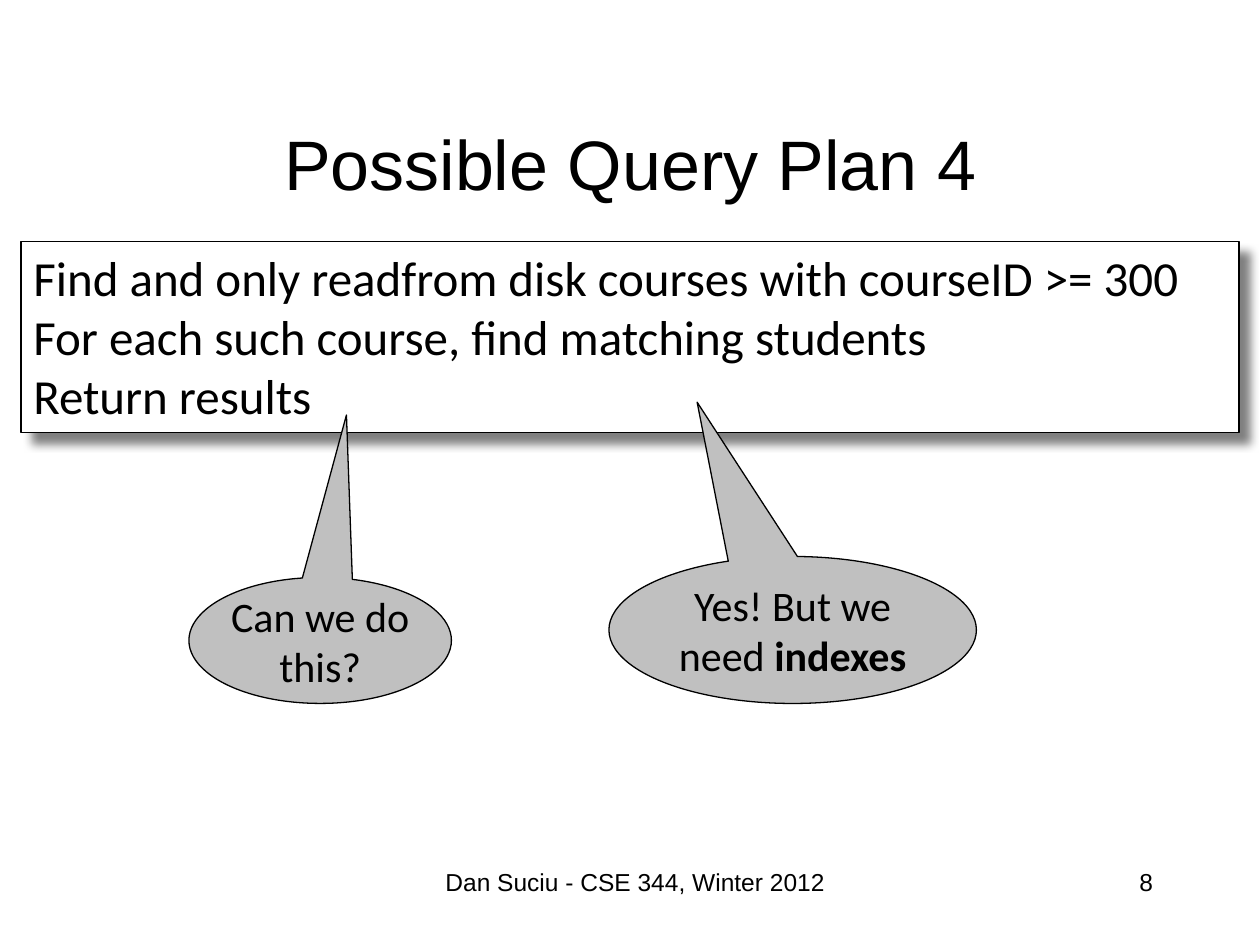
"""Build the slide on the fourth possible query plan."""
import pptx
import pptx.dml.color
import pptx.enum.shapes
import pptx.enum.text
import pptx.oxml
import pptx.oxml.ns
import pptx.util

Pt = pptx.util.Pt
SHAPE = pptx.enum.shapes.MSO_SHAPE
ALIGN = pptx.enum.text.PP_ALIGN
ANCHOR = pptx.enum.text.MSO_ANCHOR

PLAN_STEPS = [
    "Find and only readfrom disk courses with courseID >= 300",
    "For each such course, find matching students",
    "Return results",
]


def color(hex_code):
    """Return the colour for a hex string."""
    return pptx.dml.color.RGBColor.from_string(hex_code)


def write(frame, paragraphs, font, size, align, anchor=ANCHOR.TOP):
    """Fill a text frame from lists of (text, bold) runs."""
    frame.word_wrap = True
    frame.auto_size = pptx.enum.text.MSO_AUTO_SIZE.NONE
    frame.vertical_anchor = anchor
    for index, runs in enumerate(paragraphs):
        paragraph = frame.add_paragraph() if index else frame.paragraphs[0]
        paragraph.alignment = align
        for text, bold in runs:
            run = paragraph.add_run()
            run.text = text
            run.font.name = font
            run.font.size = Pt(size)
            run.font.bold = bold
            run.font.color.rgb = color("000000")


def place_title(slide, text):
    """Move and fill the title placeholder."""
    title = slide.shapes.title
    title.left, title.top, title.width, title.height = map(Pt, (54, 48, 612, 90))
    write(title.text_frame, [[(text, False)]], "Arial", 40, ALIGN.CENTER, ANCHOR.MIDDLE)


def add_footer(slide, left, width, text, align):
    """Add one text box on the footer line."""
    footer = slide.shapes.add_textbox(Pt(left), Pt(492), Pt(width), Pt(36))
    write(footer.text_frame, [[(text, False)]], "Arial", 14, align)


def add_outlined(slide, preset, box, fill):
    """Add a preset shape with a thin black outline and no shadow."""
    shape = slide.shapes.add_shape(preset, *map(Pt, box))
    shape.shadow.inherit = False
    shape.fill.solid()
    shape.fill.fore_color.rgb = color(fill)
    shape.line.color.rgb = color("000000")
    shape.line.width = Pt(0.75)
    return shape


def cast_shadow(shape, blur, distance, angle, hex_code):
    """Give a shape an outer shadow."""
    namespace = pptx.oxml.ns.nsdecls("a")
    shadow = pptx.oxml.parse_xml(
        f'<a:outerShdw {namespace} blurRad="{Pt(blur)}" dist="{Pt(distance)}" '
        f'dir="{angle * 60000}" algn="ctr" rotWithShape="0">'
        f'<a:srgbClr val="{hex_code}"/></a:outerShdw>'
    )
    shape.element.spPr.find(pptx.oxml.ns.qn("a:effectLst")).append(shadow)


def add_plan(slide, steps):
    """Add the shadowed box that lists the steps of the plan."""
    plan = add_outlined(slide, SHAPE.RECTANGLE, (12, 138, 696, 109), "FFFFFF")
    cast_shadow(plan, 5, 8.5, 45, "808080")
    lines = [[(step, False)] for step in steps]
    write(plan.text_frame, lines, "Calibri", 28, ALIGN.LEFT)


def add_callout(slide, box, pointer, runs):
    """Add an elliptical callout whose tip lies at the pointer offsets."""
    callout = add_outlined(slide, SHAPE.OVAL_CALLOUT, box, "C0C0C0")
    callout.adjustments[0], callout.adjustments[1] = pointer
    frame = callout.text_frame
    frame.margin_left = frame.margin_top = frame.margin_right = frame.margin_bottom = 0
    write(frame, [runs], "Calibri", 24, ALIGN.CENTER, ANCHOR.MIDDLE)


def main():
    """Build and save the slide."""
    deck = pptx.Presentation()
    deck.slide_width, deck.slide_height = Pt(720), Pt(540)
    slide = deck.slides.add_slide(deck.slide_layouts.get_by_name("Title Only"))
    place_title(slide, "Possible Query Plan 4")
    add_footer(slide, 228, 270, "Dan Suciu - CSE 344, Winter 2012", ALIGN.CENTER)
    add_footer(slide, 516, 150, "8", ALIGN.RIGHT)
    add_plan(slide, PLAN_STEPS)
    add_callout(slide, (108, 330, 150, 72), (0.1, -1.79), [("Can we do this?", False)])
    add_callout(slide, (348, 318, 210, 84), (-0.26, -1.55),
                [("Yes! But we need", False), (" indexes", True)])
    deck.save("out.pptx")


if __name__ == "__main__":
    main()
